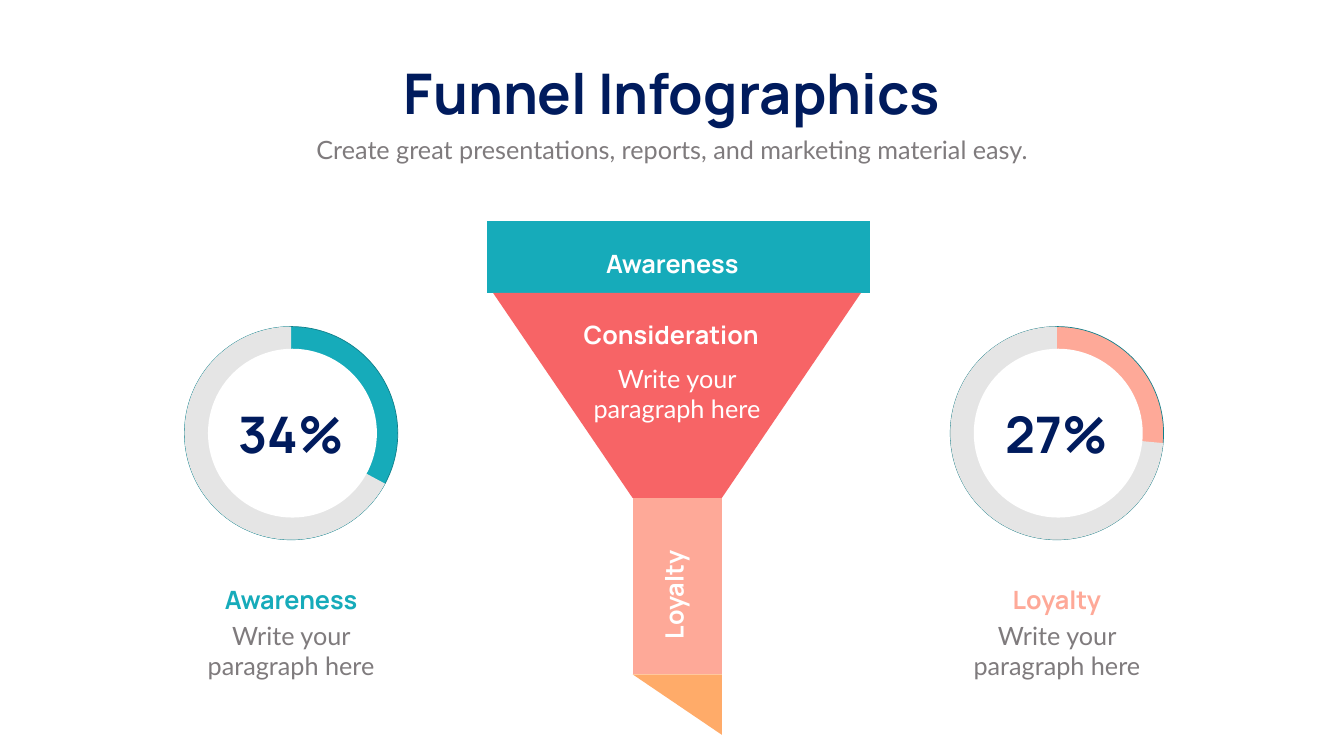
"""Build a funnel slide flanked by two percentage rings."""
from pptx import Presentation
from pptx.dml.color import RGBColor
from pptx.enum.shapes import MSO_SHAPE
from pptx.enum.text import MSO_ANCHOR, MSO_AUTO_SIZE, PP_ALIGN
from pptx.util import Inches, Pt

TEAL = RGBColor(0x16, 0xAB, 0xBA)
DEEP_TEAL = RGBColor(0x10, 0x7F, 0x8A)
CORAL = RGBColor(0xF7, 0x64, 0x66)
SALMON = RGBColor(0xFE, 0xA9, 0x98)
ORANGE = RGBColor(0xFF, 0xAB, 0x69)
NAVY = RGBColor(0x00, 0x1B, 0x5D)
GREY = RGBColor(0x7F, 0x7B, 0x7D)
SILVER = RGBColor(0xE5, 0xE5, 0xE5)
WHITE = RGBColor(0xFF, 0xFF, 0xFF)

BODY_TEXT = "Write your paragraph here"
LINE_HEIGHT, DOUBLE_HEIGHT = 4.73, 8.73
RING_TOP, RING_WIDTH, RING_HEIGHT = 43.2, 15.87, 28.2
HOLE_TOP, HOLE_WIDTH, HOLE_HEIGHT = 46.13, 12.57, 22.33


class FunnelPage:
    """Hold the style and the page; lengths are percentages of the slide's size."""

    heading_font = "Manrope"
    body_font = "Lato"

    def __init__(self, deck):
        self.width, self.height = deck.slide_width, deck.slide_height
        self.page = deck.slides.add_slide(deck.slide_layouts[5])

    def across(self, share):
        return round(self.width * share / 100)

    def down(self, share):
        return round(self.height * share / 100)

    def frame(self, center, top, width, height):
        return (self.across(center - width / 2), self.down(top),
                self.across(width), self.down(height))

    def set_text(self, box, words, size, color, heading, spacing=None):
        text_frame = box.text_frame
        text_frame.word_wrap = True
        text_frame.auto_size = MSO_AUTO_SIZE.NONE
        text_frame.vertical_anchor = MSO_ANCHOR.TOP
        para = text_frame.paragraphs[0]
        para.alignment = PP_ALIGN.CENTER
        para.line_spacing = spacing or 1.0
        para.space_before = Pt(0)
        span = para.add_run()
        span.text = words
        span.font.name = self.heading_font if heading else self.body_font
        span.font.size = Pt(size)
        span.font.bold = heading
        span.font.color.rgb = color

    def title(self, words, *place):
        box = self.page.shapes.title
        box.left, box.top, box.width, box.height = self.frame(*place)
        self.set_text(box, words, 80, NAVY, True)

    def heading(self, words, color, *place, size=36, spacing=None, rotation=0):
        box = self.page.shapes.add_textbox(*self.frame(*place))
        box.rotation = rotation
        self.set_text(box, words, size, color, True, spacing)

    def body(self, words, color, *place):
        box = self.page.shapes.add_textbox(*self.frame(*place))
        self.set_text(box, words, 36, color, False)

    def paint(self, shape, color, outline=None):
        shape.shadow.inherit = False
        shape.fill.solid()
        shape.fill.fore_color.rgb = color
        if outline is None:
            shape.line.fill.background()
        else:
            shape.line.color.rgb = outline
            shape.line.width = Pt(1)

    def polygon(self, color, *corners):
        points = [(self.across(x), self.down(y)) for x, y in corners]
        builder = self.page.shapes.build_freeform(*points[0])
        builder.add_line_segments(points[1:], close=True)
        self.paint(builder.convert_to_shape(), color)

    def ring(self, center, color, end_angle):
        group = self.page.shapes.add_group_shape()
        outer = self.frame(center, RING_TOP, RING_WIDTH, RING_HEIGHT)
        inner = self.frame(center + 0.1, HOLE_TOP, HOLE_WIDTH, HOLE_HEIGHT)
        disc = group.shapes.add_shape(MSO_SHAPE.OVAL, *outer)
        self.paint(disc, color, DEEP_TEAL)
        rest = group.shapes.add_shape(MSO_SHAPE.PIE, *outer)
        for index, angle in enumerate((end_angle, 270)):
            rest.adjustments[index] = angle * 0.6
        self.paint(rest, SILVER)
        hole = group.shapes.add_shape(MSO_SHAPE.OVAL, *inner)
        self.paint(hole, WHITE)

    def statistic(self, center, color, end_angle, percent, label):
        self.ring(center, color, end_angle)
        self.heading(percent, NAVY, center, 52.93, RING_WIDTH, DOUBLE_HEIGHT, size=72)
        self.heading(label, color, center, 77.2, 12.75, LINE_HEIGHT, spacing=Pt(40.8))
        self.body(BODY_TEXT, GREY, center, 81.73, 13.95, DOUBLE_HEIGHT)

    def funnel(self):
        rim_top, rim_bottom, neck, spout, tip = 29.2, 38.73, 65.87, 89.2, 97.2
        left, right = 47.07, 53.71
        self.polygon(TEAL, (36.2, rim_top), (64.7, rim_top),
                     (64.7, rim_bottom), (36.2, rim_bottom))
        self.polygon(CORAL, (36.68, rim_bottom), (64.07, rim_bottom),
                     (right, neck), (left, neck))
        self.polygon(SALMON, (left, neck), (right, neck), (right, spout), (left, spout))
        self.polygon(ORANGE, (left, spout), (right, spout), (right, tip))
        self.heading("Awareness", WHITE, 50.02, 32.47, 15.57, LINE_HEIGHT)
        self.heading("Consideration", WHITE, 49.94, 41.87, 21.72, LINE_HEIGHT)
        self.body(BODY_TEXT, WHITE, 50.37, 47.67, 15.75, DOUBLE_HEIGHT)
        self.heading("Loyalty", WHITE, 50.13, 76.33, 8.14, LINE_HEIGHT, rotation=270)


def main():
    deck = Presentation()
    deck.slide_width, deck.slide_height = Inches(26.66), Inches(15)
    page = FunnelPage(deck)
    page.title("Funnel Infographics", 50, 7.47, 43.92, 9.67)
    page.body("Create great presentations, reports, and marketing material easy.",
              GREY, 50, 17.4, 78.1, LINE_HEIGHT)
    page.statistic(21.66, TEAL, 28.28, "34%", "Awareness")
    page.statistic(78.64, SALMON, 5.36, "27%", "Loyalty")
    page.funnel()
    deck.save("out.pptx")


if __name__ == "__main__":
    main()
